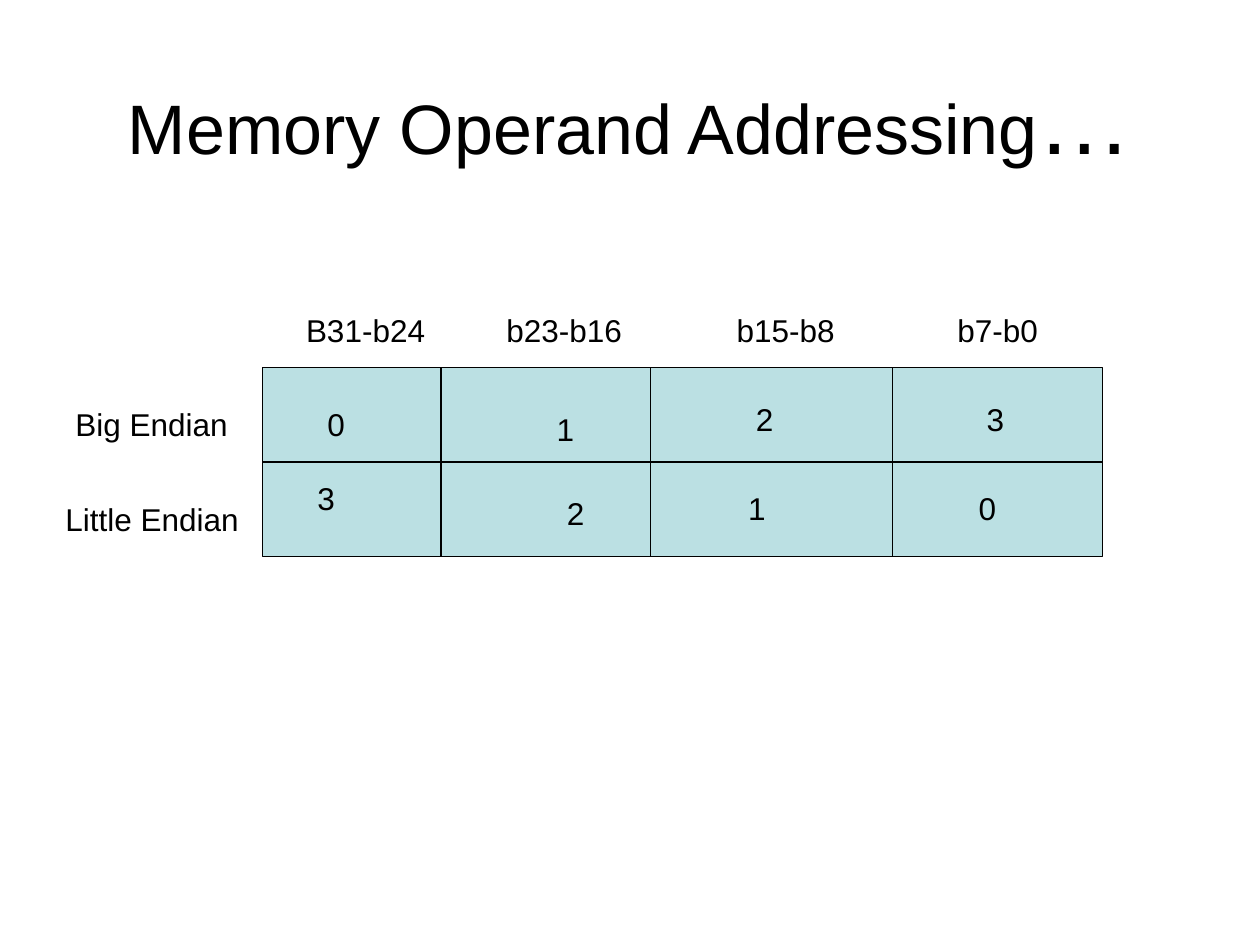
"""Build a slide comparing big-endian and little-endian byte order."""
from lxml.etree import SubElement
from pptx import Presentation
from pptx.dml.color import RGBColor
from pptx.enum.shapes import MSO_CONNECTOR as Connector, MSO_SHAPE as Shape
from pptx.enum.text import MSO_ANCHOR as Anchor, MSO_AUTO_SIZE as AutoSize, PP_ALIGN as Align
from pptx.oxml.ns import qn
from pptx.util import Cm, Pt

BLACK = RGBColor(0x00, 0x00, 0x00)
PALE_TEAL = RGBColor(0xBB, 0xE0, 0xE3)
FONT = "Arial"

TITLE = [("Memory Operand Addressing", 40), ("…", 54)]
BIT_RANGES = [("B31-b24", 5.92, 2.95), ("b23-b16", 9.96, 2.9),
              ("b15-b8", 14.6, 2.55), ("b7-b0", 19.05, 2.2)]
BYTE_ORDERS = [
    ("Big Endian", 1.27, 8.05, 3.65,
     [("0", 6.35, 8.05), ("1", 10.97, 8.15), ("2", 14.99, 7.93), ("3", 19.64, 7.93)]),
    ("Little Endian", 1.07, 9.96, 4.1,
     [("3", 6.15, 9.53), ("2", 11.18, 9.83), ("1", 14.83, 9.73), ("0", 19.48, 9.73)]),
]
COLUMN_EDGES = [5.29, 8.89, 13.12, 17.99, 22.22]
WORD_TOP, WORD_HEIGHT = 7.41, 3.81
BIT_RANGE_TOP = 6.15
LABEL_HEIGHT, DIGIT_WIDTH = 1.02, 0.87


def add_runs(paragraph, runs):
    for text, size in runs:
        run = paragraph.add_run()
        run.text = text
        run.font.name = FONT
        run.font.size = Pt(size)
        run.font.color.rgb = BLACK


def add_label(slide, text, left, top, width):
    label = slide.shapes.add_textbox(Cm(left), Cm(top), Cm(width), Cm(LABEL_HEIGHT))
    label.text_frame.word_wrap = False
    label.text_frame.auto_size = AutoSize.SHAPE_TO_FIT_TEXT
    add_runs(label.text_frame.paragraphs[0], [(text, 18)])


def add_divider(slide, x1, y1, x2, y2):
    divider = slide.shapes.add_connector(Connector.STRAIGHT, Cm(x1), Cm(y1), Cm(x2), Cm(y2))
    divider.line.color.rgb = BLACK
    divider.line.width = Pt(0.75)
    SubElement(divider._element.spPr, qn("a:effectLst"))
    return divider


def add_title(slide):
    title = slide.shapes.add_textbox(Cm(1.27), Cm(0.76), Cm(22.86), Cm(3.18))
    title.text_frame.word_wrap = True
    title.text_frame.vertical_anchor = Anchor.MIDDLE
    heading = title.text_frame.paragraphs[0]
    heading.alignment = Align.CENTER
    add_runs(heading, TITLE)


def add_words(slide):
    left, *inner_edges, right = COLUMN_EDGES
    middle = WORD_TOP + WORD_HEIGHT / 2
    words = slide.shapes.add_shape(
        Shape.RECTANGLE, Cm(left), Cm(WORD_TOP), Cm(right - left), Cm(WORD_HEIGHT))
    words.shadow.inherit = False
    words.fill.solid()
    words.fill.fore_color.rgb = PALE_TEAL
    words.line.color.rgb = BLACK
    words.line.width = Pt(0.75)

    row_divider = add_divider(slide, left, middle, right, middle)
    row_divider.begin_connect(words, 1)
    row_divider.end_connect(words, 3)
    for edge in inner_edges:
        add_divider(slide, edge, WORD_TOP, edge, WORD_TOP + WORD_HEIGHT)


def main():
    deck = Presentation()
    deck.slide_width, deck.slide_height = Cm(25.4), Cm(19.05)
    slide = deck.slides.add_slide(deck.slide_layouts[6])
    add_title(slide)
    add_words(slide)
    for bits, left, width in BIT_RANGES:
        add_label(slide, bits, left, BIT_RANGE_TOP, width)
    for order, left, top, width, byte_numbers in BYTE_ORDERS:
        add_label(slide, order, left, top, width)
        for number, x, y in byte_numbers:
            add_label(slide, number, x, y, DIGIT_WIDTH)
    deck.save("out.pptx")


if __name__ == "__main__":
    main()
